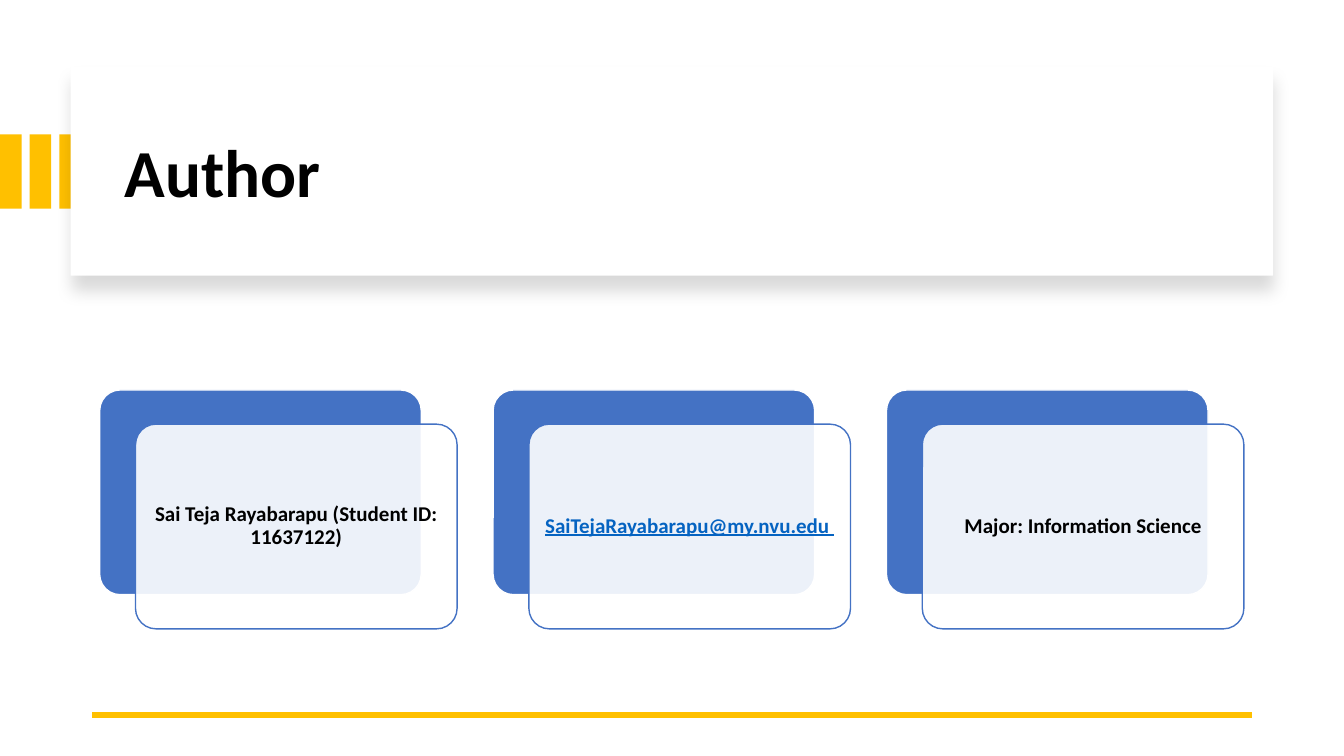
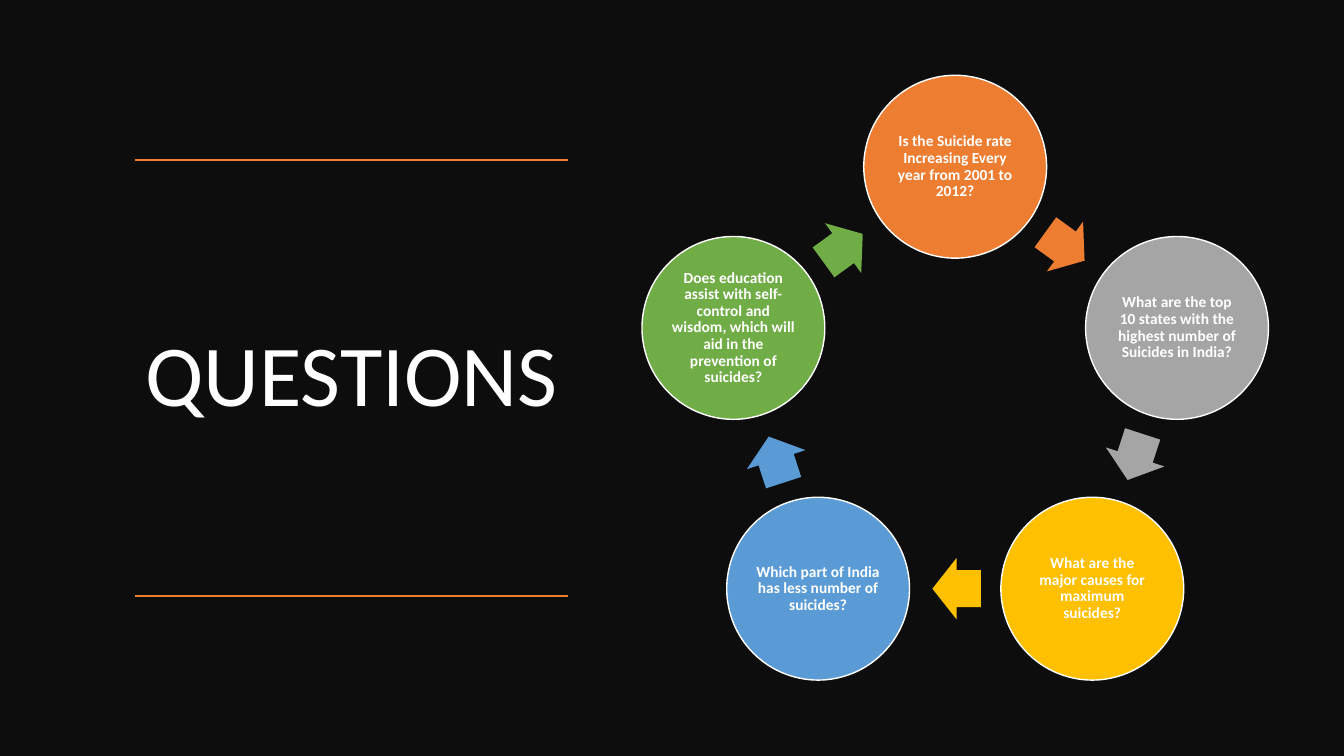
"""Build the author and questions slides."""
from dataclasses import dataclass
from math import cos, radians, sin

from lxml import etree
from pptx import Presentation
from pptx.dml.color import RGBColor
from pptx.enum.shapes import MSO_CONNECTOR, MSO_SHAPE
from pptx.enum.text import MSO_ANCHOR, MSO_AUTO_SIZE, PP_ALIGN
from pptx.oxml import parse_xml
from pptx.oxml.ns import nsdecls, qn
from pptx.util import Pt

RECT, ROUND_RECT = MSO_SHAPE.RECTANGLE, MSO_SHAPE.ROUNDED_RECTANGLE
OVAL, ARROW = MSO_SHAPE.OVAL, MSO_SHAPE.RIGHT_ARROW
STRAIGHT = MSO_CONNECTOR.STRAIGHT
LEFT, CENTER = PP_ALIGN.LEFT, PP_ALIGN.CENTER
MIDDLE, NO_FIT = MSO_ANCHOR.MIDDLE, MSO_AUTO_SIZE.NONE


@dataclass(frozen=True)
class Theme:
    font: str = "Calibri"
    black: str = "000000"
    white: str = "FFFFFF"
    night: str = "0D0D0D"
    link: str = "0563C1"
    navy: str = "4472C4"
    orange: str = "ED7D31"
    gray: str = "A5A5A5"
    gold: str = "FFC000"
    blue: str = "5B9BD5"
    green: str = "70AD47"
    title: int = 48
    big_title: int = 62
    card: int = 15
    circle: int = 11


T = Theme()


def draw(shapes, kind, x, y, w, h, fill, line=None):
    sp = shapes.add_shape(kind, Pt(x), Pt(y), Pt(w), Pt(h))
    sp.shadow.inherit = False
    sp.fill.solid()
    sp.fill.fore_color.rgb = RGBColor.from_string(fill)
    if line:
        sp.line.color.rgb = RGBColor.from_string(line)
        sp.line.width = Pt(1)
    else:
        sp.line.fill.background()
    return sp


def write(sp, text, size, color, bold, align, inset, underline=None):
    tf = sp.text_frame
    tf.word_wrap = True
    tf.auto_size = NO_FIT
    tf.vertical_anchor = MIDDLE
    tf.margin_left = tf.margin_right = Pt(inset)
    tf.margin_top = tf.margin_bottom = Pt(min(inset, 4))
    p = tf.paragraphs[0]
    p.alignment = align
    p.line_spacing = 0.9
    r = p.add_run()
    r.text = text
    r.font.name = T.font
    r.font.size = Pt(size)
    r.font.bold = bold
    r.font.underline = underline
    r.font.color.rgb = RGBColor.from_string(color)


prs = Presentation()
prs.slide_width, prs.slide_height = Pt(960), Pt(540)
author, questions = [prs.slides.add_slide(prs.slide_layouts[5]) for _ in range(2)]

for s, text, size, color, bold, box in (
    (author, "Author", T.title, T.black, True, (82, 64, 801.5, 122.5)),
    (questions, "QUESTIONS", T.big_title, T.white, False, (96.5, 114.3, 310, 311.5)),
):
    title = s.shapes.title
    title.left, title.top, title.width, title.height = map(Pt, box)
    write(title, text, size, color, bold, LEFT, 7.2)

shapes = author.shapes
for i in range(3):
    draw(shapes, RECT, 21.2 * i, 96, 15.4, 53, T.gold)
panel = draw(shapes, RECT, 50.4, 48, 859, 149, T.white)
effects = panel._element.spPr.find(qn("a:effectLst"))
effects.append(parse_xml(
    f'<a:outerShdw {nsdecls("a")} blurRad="{Pt(11)}" dist="{Pt(10)}" dir="5400000" '
    f'algn="t" rotWithShape="0"><a:srgbClr val="{T.black}">'
    '<a:alpha val="15000"/></a:srgbClr></a:outerShdw>'))
shapes._spTree.append(shapes.title._element)

cards = (
    ("Sai Teja Rayabarapu (Student ID: 11637122)", T.black, None),
    ("SaiTejaRayabarapu@my.nvu.edu ", T.link, True),
    ("Major: Information Science", T.black, None),
)
card_w, card_h = 229.7, 146.2
for i, (text, color, underline) in enumerate(cards):
    x, y = 71.2 + 281 * i, 278.6
    back = draw(shapes, ROUND_RECT, x, y, card_w, card_h, T.navy, T.white)
    front = draw(shapes, ROUND_RECT, x + 25.6, y + 24.4, card_w, card_h, T.white, T.navy)
    back.adjustments[0] = front.adjustments[0] = 0.1
    tint = front._element.spPr.find(qn("a:solidFill"))[0]
    etree.SubElement(tint, qn("a:alpha"), val="90000")
    write(front, text, T.card, color, True, CENTER, 4.2, underline)

questions.background.fill.solid()
questions.background.fill.fore_color.rgb = RGBColor.from_string(T.night)
cycle = (
    ("Is the Suicide rate Increasing Every year from 2001 to 2012?", T.orange),
    ("What are the top 10 states with the highest number of Suicides in India?", T.gray),
    ("What are the major causes for maximum suicides?", T.gold),
    ("Which part of India has less number of suicides?", T.blue),
    ("Does education assist with self-control and wisdom, which will aid in the "
     "prevention of suicides?", T.green),
)
center_x, center_y, radius, diameter = 682.3, 285.7, 166.6, 130.6
arrow_w, arrow_h, setback = 34.6, 44, 1
step = 360 / len(cycle)
mid_radius = radius * cos(radians(step / 2))
for i, (text, color) in enumerate(cycle):
    angle = radians(step * i)
    x = center_x + radius * sin(angle) - diameter / 2
    y = center_y - radius * cos(angle) - diameter / 2
    circle = draw(questions.shapes, OVAL, x, y, diameter, diameter, color, T.white)
    write(circle, text, T.circle, T.white, True, CENTER, 1.4)

    turn = step * (i + 0.5)
    angle = radians(turn)
    x = center_x + mid_radius * sin(angle) - setback * cos(angle) - arrow_w / 2
    y = center_y - mid_radius * cos(angle) - setback * sin(angle) - arrow_h / 2
    arrow = draw(questions.shapes, ARROW, x, y, arrow_w, arrow_h, color)
    arrow.adjustments[0], arrow.adjustments[1] = 0.6, 0.5
    arrow.rotation = turn

for s, x1, x2, y, color, width in (
    (author, 894.2, 66, 510.5, T.gold, 4.5),
    (questions, 406, 96.5, 114.3, T.orange, 1),
    (questions, 406, 96.5, 425.8, T.orange, 1),
):
    rule = s.shapes.add_connector(STRAIGHT, Pt(x1), Pt(y), Pt(x2), Pt(y))
    rule.line.color.rgb = RGBColor.from_string(color)
    rule.line.width = Pt(width)
    etree.SubElement(rule._element.spPr, qn("a:effectLst"))

prs.save("out.pptx")
